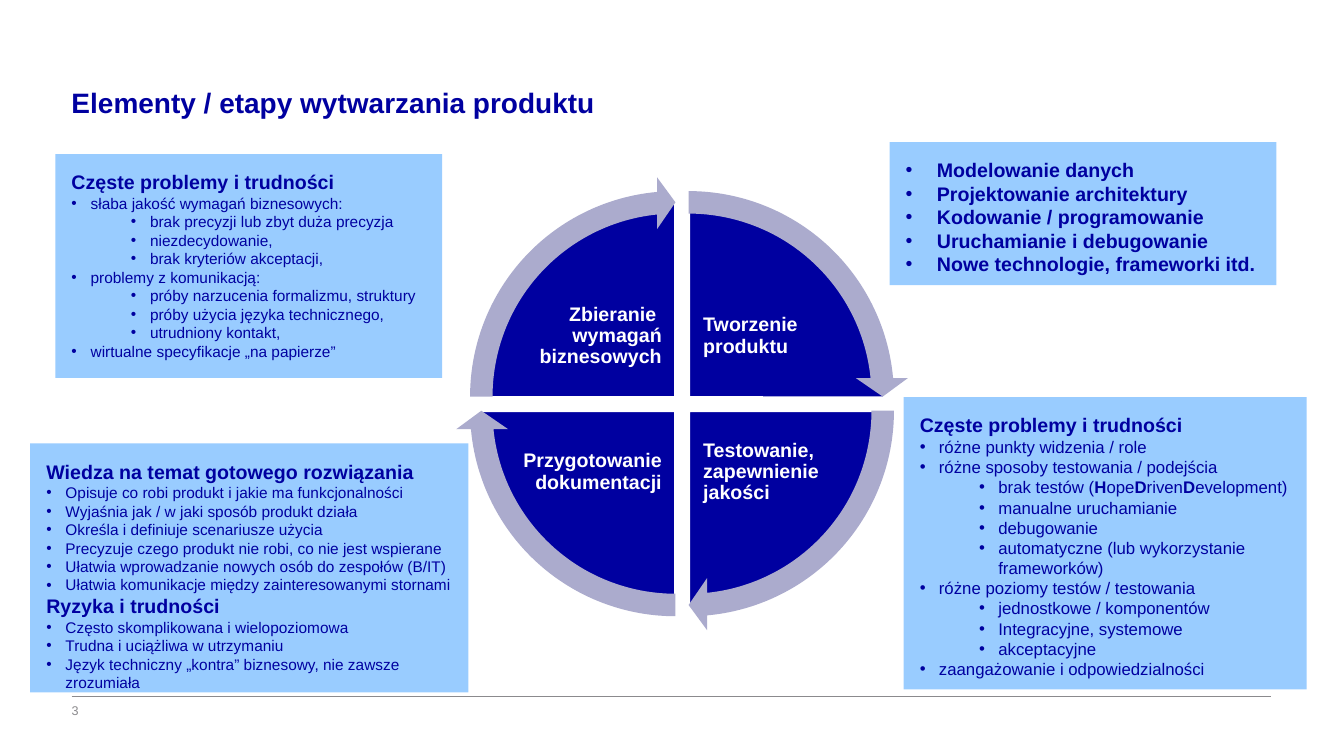
from pptx import Presentation
from pptx.dml.color import RGBColor
from pptx.enum.shapes import MSO_CONNECTOR, MSO_SHAPE
from pptx.enum.text import MSO_ANCHOR, PP_ALIGN
from pptx.oxml.ns import qn
from pptx.util import Inches, Pt
from lxml import etree

RECTANGLE, PIE, CIRCULAR_ARROW = MSO_SHAPE.RECTANGLE, MSO_SHAPE.PIE, MSO_SHAPE.CIRCULAR_ARROW
STRAIGHT = MSO_CONNECTOR.STRAIGHT
LEFT, RIGHT = PP_ALIGN.LEFT, PP_ALIGN.RIGHT
TOP, MIDDLE, BOTTOM = MSO_ANCHOR.TOP, MSO_ANCHOR.MIDDLE, MSO_ANCHOR.BOTTOM

FONT = "Arial"
NAVY, LAVENDER, SKY, GRAY, WHITE = "0000A0", "ABABCD", "99CCFF", "8B8A8D", "FFFFFF"
QUARTER_TURN = 54  # a full turn is 216 adjustment units
ARROW_SWEEP = 50.725

# Panel lines are (level, text); level 0 is a heading, 1 and 2 are bullets.
# In a bullet, every second part between asterisks is bold.
BULLET_INDENTS = {1: 0.19, 2: 0.78}
REQUIREMENT_PROBLEMS = [
    (0, "Częste problemy i trudności"),
    (1, "słaba jakość wymagań biznesowych:"),
    (2, "brak precyzji lub zbyt duża precyzja"),
    (2, "niezdecydowanie,"),
    (2, "brak kryteriów akceptacji,"),
    (1, "problemy z komunikacją:"),
    (2, "próby narzucenia formalizmu, struktury"),
    (2, "próby użycia języka technicznego,"),
    (2, "utrudniony kontakt,"),
    (1, "wirtualne specyfikacje „na papierze”"),
]
TESTING_PROBLEMS = [
    (0, "Częste problemy i trudności"),
    (1, "różne punkty widzenia / role"),
    (1, "różne sposoby testowania / podejścia"),
    (2, "brak testów (*H*ope*D*riven*D*evelopment)"),
    (2, "manualne uruchamianie"),
    (2, "debugowanie"),
    (2, "automatyczne (lub wykorzystanie frameworków)"),
    (1, "różne poziomy testów / testowania"),
    (2, "jednostkowe / komponentów"),
    (2, "Integracyjne, systemowe"),
    (2, "akceptacyjne"),
    (1, "zaangażowanie i odpowiedzialności"),
]
DOCUMENTATION_NOTES = [
    (0, "Wiedza na temat gotowego rozwiązania"),
    (1, "Opisuje co robi produkt i jakie ma funkcjonalności"),
    (1, "Wyjaśnia jak / w jaki sposób produkt działa"),
    (1, "Określa i definiuje scenariusze użycia"),
    (1, "Precyzuje czego produkt nie robi, co nie jest wspierane"),
    (1, "Ułatwia wprowadzanie nowych osób do zespołów (B/IT)"),
    (1, "Ułatwia komunikacje między zainteresowanymi stornami"),
    (0, "Ryzyka i trudności"),
    (1, "Często skomplikowana i wielopoziomowa"),
    (1, "Trudna i uciążliwa w utrzymaniu"),
    (1, "Język techniczny „kontra” biznesowy, nie zawsze zrozumiała"),
]
CREATION_STEPS = [
    "Modelowanie danych",
    "Projektowanie architektury",
    "Kodowanie / programowanie",
    "Uruchamianie i debugowanie",
    "Nowe technologie, frameworki itd.",
]
# Clockwise from the top right: label lines, right half?, bottom half?
STAGES = [
    (["Tworzenie produktu"], True, False),
    (["Testowanie, zapewnienie jakości"], True, True),
    (["Przygotowanie dokumentacji"], False, True),
    (["Zbieranie ", "wymagań biznesowych"], False, False),
]


def color(hex_string):
    return RGBColor.from_string(hex_string)


def add_run(paragraph, text, size, font_color, bold=False):
    run = paragraph.add_run()
    run.text = text
    run.font.name = FONT
    run.font.size = Pt(size)
    run.font.bold = bold
    run.font.color.rgb = color(font_color)


def set_frame(text_frame, inset, anchor):
    text_frame.word_wrap = True
    text_frame.vertical_anchor = anchor
    text_frame.margin_left = text_frame.margin_right = Inches(inset)
    text_frame.margin_top = text_frame.margin_bottom = Inches(inset)


def set_bullet(paragraph, left, hanging):
    properties = paragraph._p.get_or_add_pPr()
    properties.set("marL", str(Inches(left)))
    properties.set("indent", str(-Inches(hanging)))
    etree.SubElement(properties, qn("a:buFont")).set("typeface", FONT)
    etree.SubElement(properties, qn("a:buChar")).set("char", "•")


def add_text(slide, box, lines, size, font_color, bold=False, inset=0.0,
             anchor=MIDDLE, align=LEFT, spacing=1.0):
    """Add one paragraph whose lines are parted by line breaks."""
    text_frame = slide.shapes.add_textbox(*map(Inches, box)).text_frame
    set_frame(text_frame, inset, anchor)
    paragraph = text_frame.paragraphs[0]
    paragraph.alignment = align
    paragraph.line_spacing = spacing
    for index, line in enumerate(lines):
        if index:
            paragraph.add_line_break()
        add_run(paragraph, line, size, font_color, bold)


def add_filled_shape(slide, kind, box, fill, adjustments=(), line=None):
    shape = slide.shapes.add_shape(kind, *map(Inches, box))
    shape.shadow.inherit = False
    shape.fill.solid()
    shape.fill.fore_color.rgb = color(fill)
    if line:
        shape.line.color.rgb = color(line)
        shape.line.width = Pt(2)
    else:
        shape.line.fill.background()
    for index, value in enumerate(adjustments):
        shape.adjustments[index] = value
    return shape


def add_panel(slide, box, count):
    """Add a light blue box and return its paragraphs, ready for text."""
    text_frame = add_filled_shape(slide, RECTANGLE, box, SKY).text_frame
    set_frame(text_frame, 0.16, TOP)
    for _ in range(count - 1):
        text_frame.add_paragraph()
    for paragraph in text_frame.paragraphs:
        paragraph.alignment = LEFT
    return text_frame.paragraphs


def add_outline_panel(slide, box, lines, bullet_size):
    for paragraph, (level, text) in zip(add_panel(slide, box, len(lines)), lines):
        if level == 0:
            add_run(paragraph, text, 14, NAVY, True)
            continue
        paragraph.level = level - 1
        set_bullet(paragraph, BULLET_INDENTS[level], 0.19)
        for index, part in enumerate(text.split("*")):
            add_run(paragraph, part, bullet_size, NAVY, index % 2 == 1)


def add_steps_panel(slide, box, steps):
    for paragraph, step in zip(add_panel(slide, box, len(steps)), steps):
        set_bullet(paragraph, 0.31, 0.31)
        add_run(paragraph, step, 14, NAVY, True)


def add_cycle(slide):
    for index, (label, right, bottom) in enumerate(STAGES):
        start = (index + 3) % 4 * QUARTER_TURN
        end = index * QUARTER_TURN
        pie_box = (4.89 if right else 4.76, 2.13 if bottom else 2, 3.89, 3.89)
        add_filled_shape(slide, PIE, pie_box, NAVY, (start, end), WHITE)
        label_box = (6.96 if right else 5.15, 4.15 if bottom else 2.8, 1.44, 1.07)
        add_text(slide, label_box, label, 14, WHITE, True, 0.02,
                 align=LEFT if right else RIGHT, spacing=0.9)
    for index, (_, right, bottom) in enumerate(STAGES):
        start = (index + 3) % 4 * QUARTER_TURN
        arrow_box = (4.65 if right else 4.52, 1.89 if bottom else 1.75, 4.37, 4.37)
        add_filled_shape(slide, CIRCULAR_ARROW, arrow_box, LAVENDER,
                         (0.051, 3.275, start + ARROW_SWEEP, start, 0.059))


def add_footer(slide):
    rule = slide.shapes.add_connector(
        STRAIGHT, Inches(0.71), Inches(6.91), Inches(12.62), Inches(6.91))
    rule.line.color.rgb = color(GRAY)
    rule.line.width = Pt(0.75)
    etree.SubElement(rule._element.spPr, qn("a:effectLst"))
    add_text(slide, (0.71, 6.97, 0.35, 0.16), ["3"], 9, GRAY)


def main():
    presentation = Presentation()
    presentation.slide_width = Inches(13.34)
    presentation.slide_height = Inches(7.5)
    slide = presentation.slides.add_slide(presentation.slide_layouts[6])
    add_footer(slide)
    add_text(slide, (0.71, 0.39, 7.87, 0.79), ["Elementy / etapy wytwarzania produktu"],
             20, NAVY, True, anchor=BOTTOM)
    add_cycle(slide)
    add_outline_panel(slide, (0.55, 1.53, 3.84, 2.22), REQUIREMENT_PROBLEMS, 11)
    add_outline_panel(slide, (8.97, 3.94, 4, 2.9), TESTING_PROBLEMS, 12)
    add_steps_panel(slide, (8.83, 1.41, 3.84, 1.42), CREATION_STEPS)
    add_outline_panel(slide, (0.3, 4.4, 4.35, 2.47), DOCUMENTATION_NOTES, 11)
    presentation.save("out.pptx")


if __name__ == "__main__":
    main()
